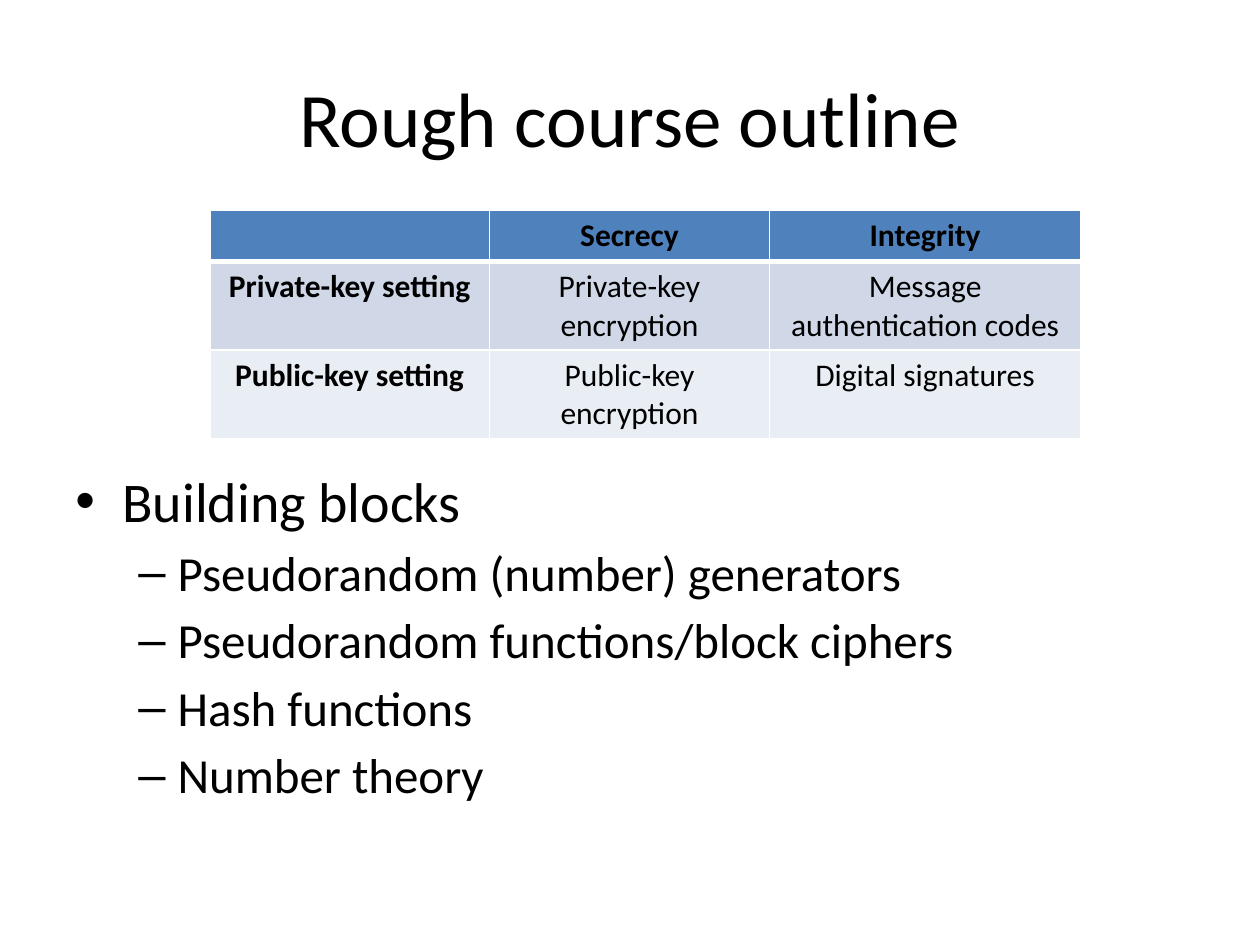
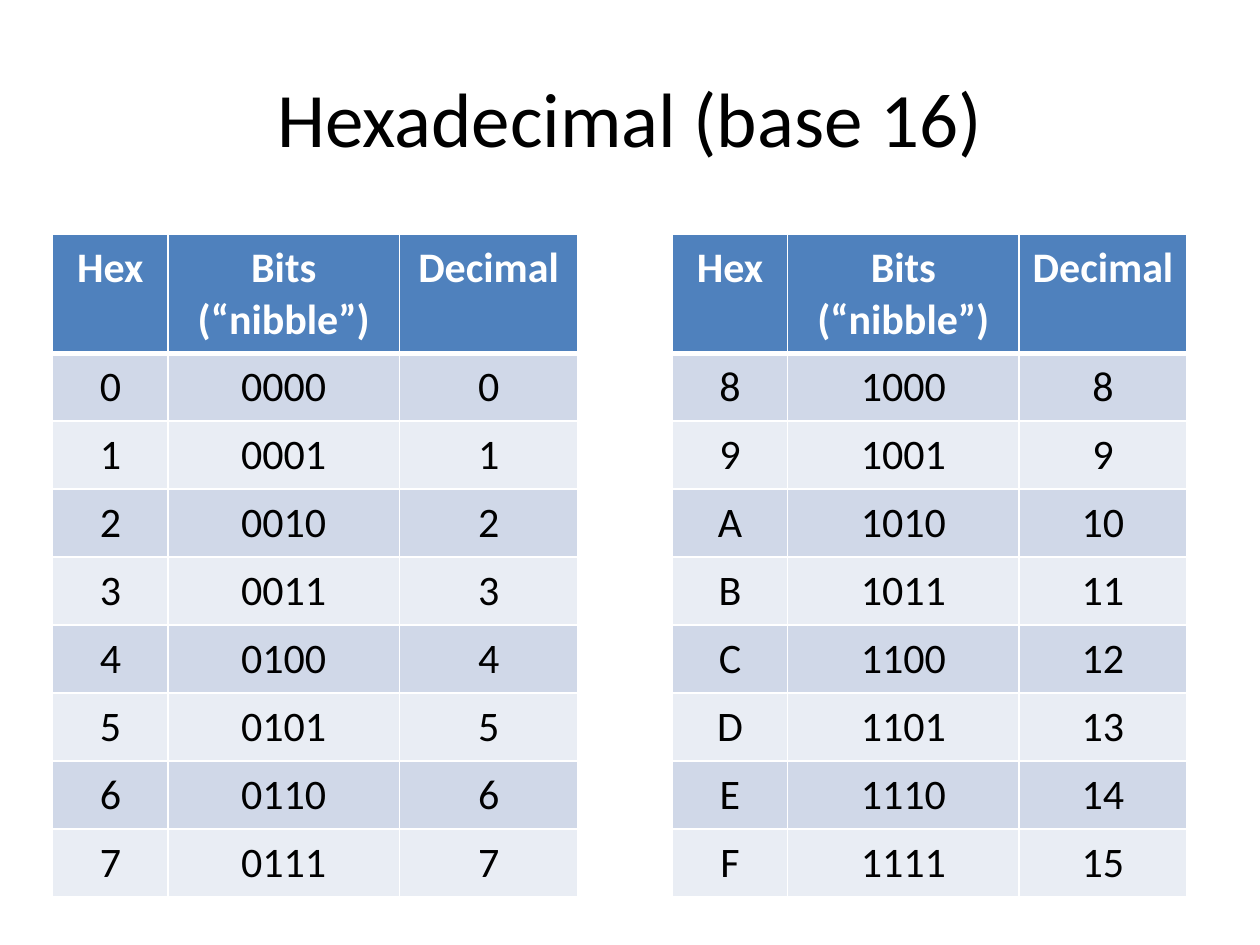
"""Builds two slides: a course outline and a hexadecimal conversion chart."""
from dataclasses import dataclass

from lxml import etree
from pptx import Presentation
from pptx import util as u
from pptx.dml.color import RGBColor
from pptx.enum import text
from pptx.oxml.ns import qn


@dataclass(frozen=True)
class Theme:
    font: str = "Calibri"
    ink: str = "000000"
    paper: str = "FFFFFF"
    header: str = "4F81BD"
    bands: tuple = ("D0D8E8", "E9EDF4")
    title_size: int = 44
    level_sizes: tuple = (32, 28)
    outline_size: int = 18
    hex_size: int = 24


theme = Theme()


def style(paragraph, size, color=theme.ink, bold=False, align=text.PP_ALIGN.CENTER):
    paragraph.alignment = align
    paragraph.font.name = theme.font
    paragraph.font.size = u.Pt(size)
    paragraph.font.bold = bold
    paragraph.font.color.rgb = RGBColor.from_string(color)


def add_grid(slide, left, top, widths, heights, rows, size, inset, header_color, bold_column=None):
    frame = slide.shapes.add_table(len(rows), len(widths), u.Cm(left), u.Cm(top),
                                   u.Cm(sum(widths)), u.Cm(sum(heights)))
    table = frame.table
    table.first_row = table.horz_banding = False
    for column, width in zip(table.columns, widths):
        column.width = u.Cm(width)
    for r, (row, height) in enumerate(zip(rows, heights)):
        table.rows[r].height = u.Cm(height)
        for c, value in enumerate(row):
            cell = table.cell(r, c)
            cell.margin_top = cell.margin_bottom = u.Cm(inset)
            cell.text = value
            style(cell.text_frame.paragraphs[0], size, theme.ink if r else header_color,
                  r == 0 or c == bold_column)
            properties = cell._tc.get_or_add_tcPr()
            for side in ("lnL", "lnR", "lnT", "lnB"):
                thick = (r, side) in ((0, "lnB"), (1, "lnT"))
                line = etree.SubElement(properties, qn("a:" + side), w=str(u.Pt(3 if thick else 1)))
                fill = etree.SubElement(line, qn("a:solidFill"))
                etree.SubElement(fill, qn("a:srgbClr"), val=theme.paper)
            cell.fill.solid()
            cell.fill.fore_color.rgb = RGBColor.from_string(theme.bands[(r - 1) % 2] if r else theme.header)


presentation = Presentation()
presentation.slide_width, presentation.slide_height = u.Cm(25.4), u.Cm(19.05)

slides = []
for title in ("Rough course outline", "Hexadecimal (base 16)"):
    slide = presentation.slides.add_slide(presentation.slide_layouts[6])
    box = slide.shapes.add_textbox(u.Cm(1.27), u.Cm(0.76), u.Cm(22.86), u.Cm(3.18))
    box.text_frame.word_wrap = True
    box.text_frame.vertical_anchor = text.MSO_ANCHOR.MIDDLE
    box.text_frame.text = title
    style(box.text_frame.paragraphs[0], theme.title_size)
    slides.append(slide)
outline, hexadecimal = slides

body = outline.shapes.add_textbox(u.Cm(1.27), u.Cm(4.45), u.Cm(22.86), u.Cm(12.57)).text_frame
body.word_wrap = True
body.margin_top = u.Cm(4.95)
bullets = [
    (0, "Building blocks"),
    (1, "Pseudorandom (number) generators"),
    (1, "Pseudorandom functions/block ciphers"),
    (1, "Hash functions"),
    (1, "Number theory"),
]
body.text = "\n".join(words for level, words in bullets)
for paragraph, (level, words) in zip(body.paragraphs, bullets):
    style(paragraph, theme.level_sizes[level], align=text.PP_ALIGN.LEFT)
    paragraph.level = level
    paragraph.space_before = u.Pt(5 * level)
    indent, mark = ((0.95, "•"), (0.79, "–"))[level]
    properties = paragraph._p.get_or_add_pPr()
    properties.set("marL", str(u.Cm((0.95, 2.06)[level])))
    properties.set("indent", str(-u.Cm(indent)))
    bullet_font = etree.Element(qn("a:buFont"), typeface="Arial")
    bullet = etree.Element(qn("a:buChar"), char=mark)
    default_run = properties.find(qn("a:defRPr"))
    default_run.addprevious(bullet_font)
    default_run.addprevious(bullet)

add_grid(outline, 4.23, 4.23, (5.64, 5.64, 6.28), (1.04, 1.78, 1.78), [
    ("", "Secrecy", "Integrity"),
    ("Private-key setting", "Private-key encryption", "Message authentication codes"),
    ("Public-key setting", "Public-key encryption", "Digital signatures"),
], theme.outline_size, 0.13, theme.ink, bold_column=0)

for first, left, last_width in ((0, 1.06, 3.6), (8, 13.55, 3.39)):
    rows = [("Hex", "Bits (“nibble”)", "Decimal")]
    rows += [(f"{n:X}", f"{n:04b}", str(n)) for n in range(first, first + 8)]
    add_grid(hexadecimal, left, 4.73, (2.33, 4.66, last_width), [2.39] + [1.37] * 8,
             rows, theme.hex_size, 0.17, theme.paper)

presentation.save("out.pptx")
